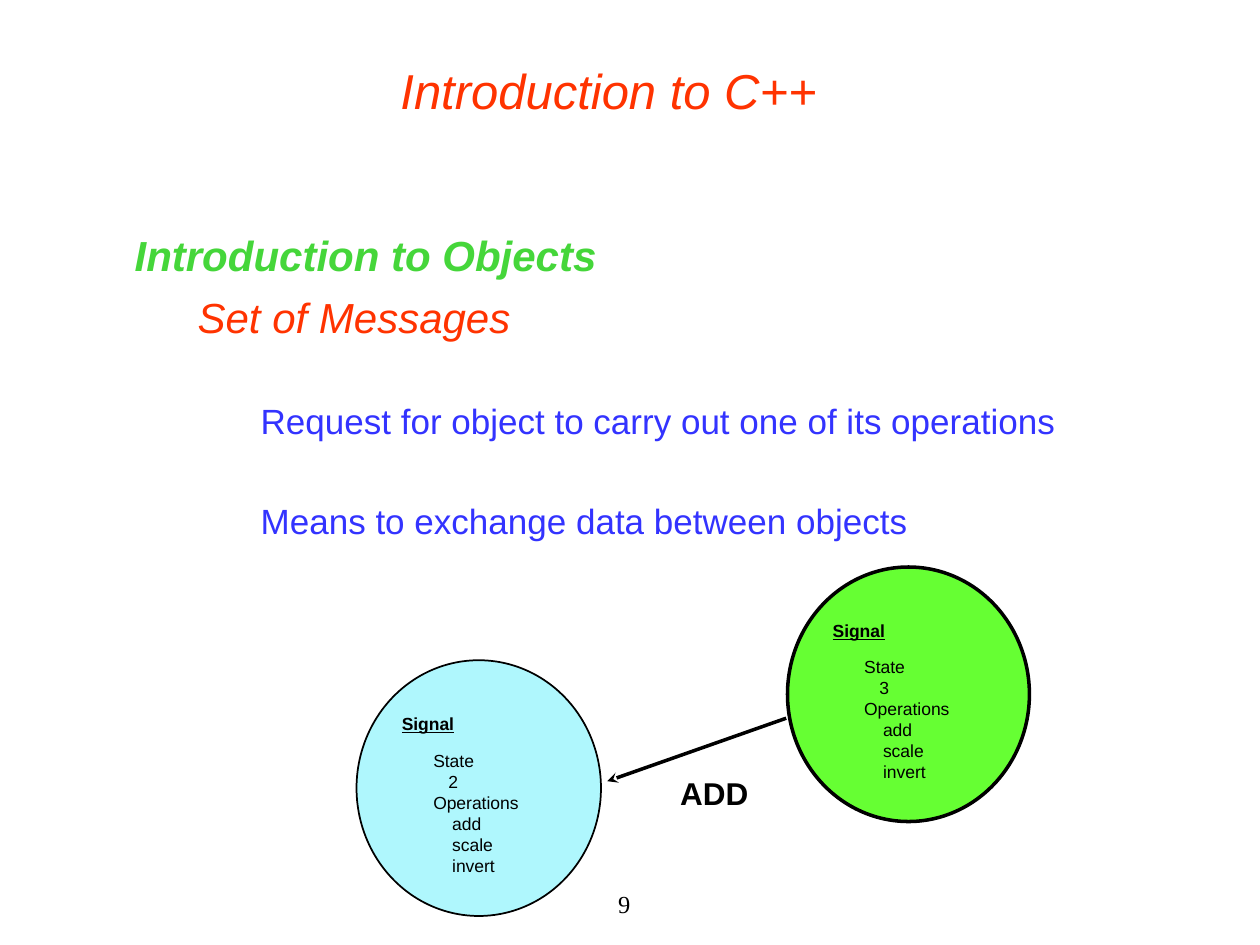
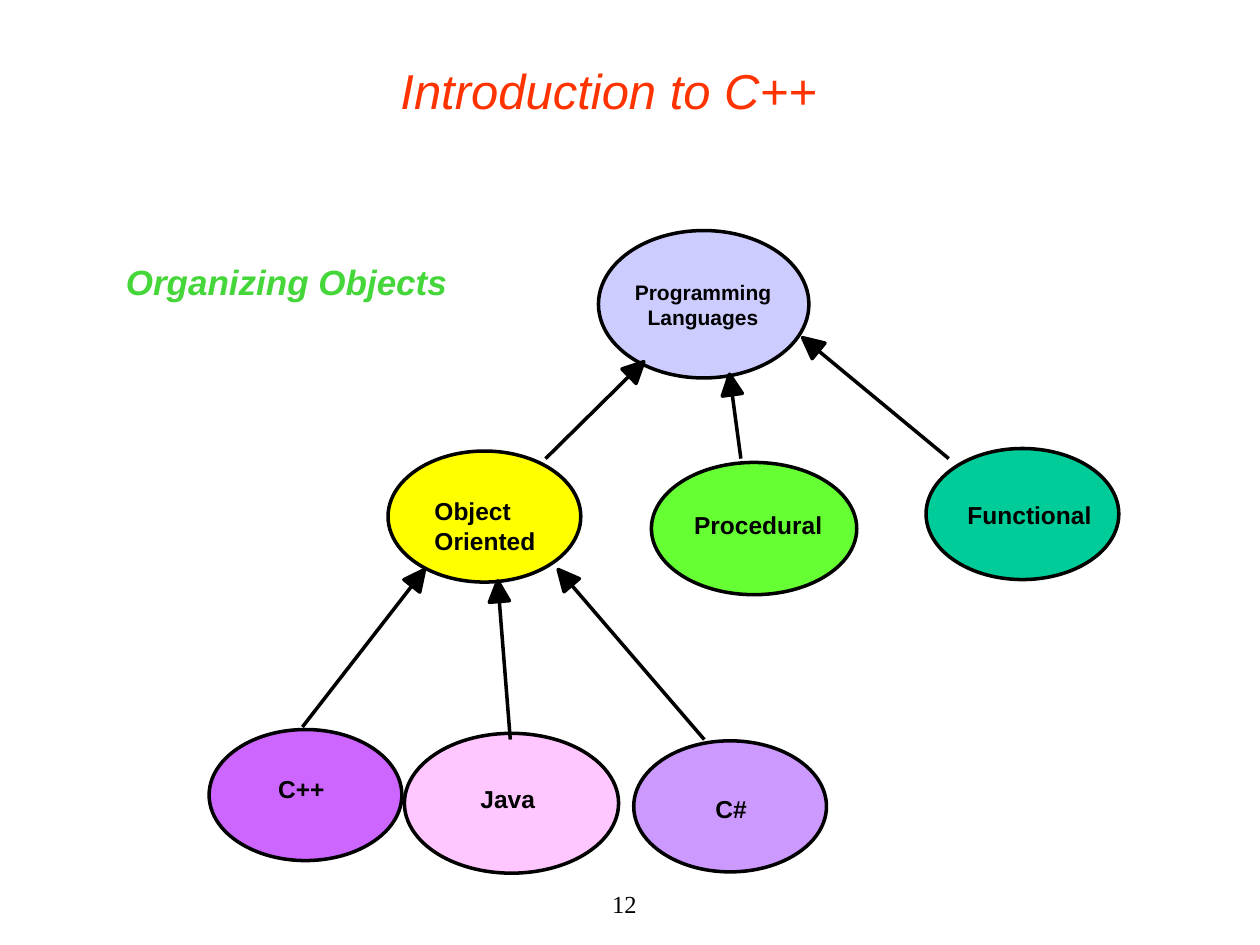
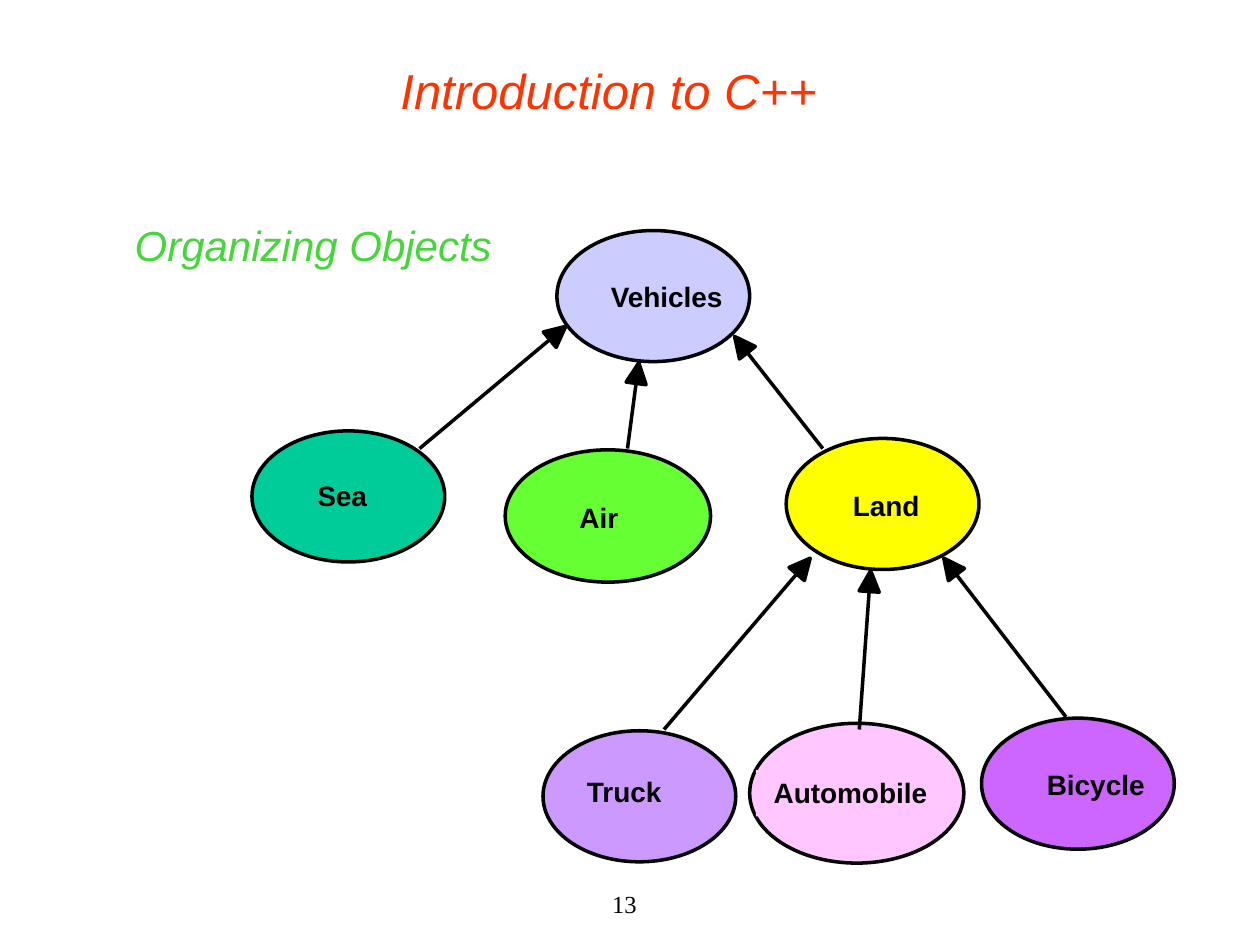
from math import hypot

from lxml.etree import SubElement
from pptx import Presentation
from pptx.dml.color import RGBColor
from pptx.enum.dml import MSO_LINE
from pptx.enum.shapes import MSO_CONNECTOR, MSO_SHAPE
from pptx.enum.text import MSO_ANCHOR, PP_ALIGN
from pptx.oxml.ns import qn
from pptx.util import Pt

SCALE = 9144
COLORS = {
    "black": "000000", "red": "FF3300", "green": "45D63A", "blue": "3333FF",
    "aqua": "AFF7FD", "lime": "66FF33", "lavender": "CCCCFF", "yellow": "FFFF00",
    "teal": "00CC99", "violet": "CC66FF", "pink": "FFC6FF", "lilac": "CC99FF",
}
HEAD_LENGTH, HEAD_HALF_WIDTH, HEAD_OVERLAP = 16.5, 8, 5


def emu(px):
    """Turn px into EMU."""
    return round(px * SCALE)


def rgb(name):
    """Look up a named colour."""
    return RGBColor.from_string(COLORS[name])


class Deck:
    """Holds the presentation, its style and the current slide."""

    def __init__(self):
        """Start an empty 1000 by 750 px presentation."""
        self.presentation = Presentation()
        self.presentation.slide_width = emu(1000)
        self.presentation.slide_height = emu(750)
        self.slide = None

    def add_slide(self, number):
        """Add a slide with the shared title and its page number."""
        self.slide = self.presentation.slides.add_slide(self.presentation.slide_layouts[6])
        self.text((58, 33, 850, 67), ["Introduction to C++"], size=28, color="red",
                  italic=True, align=PP_ALIGN.CENTER, anchor=MSO_ANCHOR.BOTTOM)
        self.text((458, 692, 75, 50), [str(number)], size=14, font="Times New Roman",
                  align=PP_ALIGN.CENTER, anchor=MSO_ANCHOR.MIDDLE)

    def text(self, box, lines, fill=None, anchor=MSO_ANCHOR.TOP, wrap=False, top=5, **style):
        """Add a text box; a line is a string or a pair of string and own style."""
        shape = self.slide.shapes.add_textbox(*map(emu, box))
        if fill:
            shape.fill.solid()
            shape.fill.fore_color.rgb = rgb(fill)
        frame = shape.text_frame
        frame.word_wrap = wrap
        frame.vertical_anchor = anchor
        frame.margin_left = frame.margin_right = emu(10)
        frame.margin_top, frame.margin_bottom = emu(top), emu(5)
        pairs = [(line, {}) if isinstance(line, str) else line for line in lines]
        frame.text = "\n".join(words for words, _ in pairs)
        for paragraph, (_, own) in zip(frame.paragraphs, pairs):
            self.format(paragraph, **{**style, **own})

    def format(self, paragraph, size, color="black", font="Arial", bold=False, italic=False,
               underline=False, align=PP_ALIGN.LEFT, indent=0, before=0, spacing=1.0):
        """Set the layout of a paragraph and the font of its runs."""
        paragraph.alignment = align
        paragraph.line_spacing = spacing
        paragraph.space_before = Pt(before)
        if indent:
            paragraph._p.get_or_add_pPr().set("marL", str(emu(indent)))
        for run in paragraph.runs:
            run.font.name, run.font.size = font, Pt(size)
            run.font.bold, run.font.italic, run.font.underline = bold, italic, underline
            run.font.color.rgb = rgb(color)

    def outline(self, shape, width=2):
        """Give a shape or connector a solid black line."""
        shape.line.color.rgb = rgb("black")
        shape.line.width = Pt(width)
        shape.line.dash_style = MSO_LINE.SOLID
        SubElement(shape._element.spPr.find(qn("a:ln")), qn("a:round"))

    def solid(self, shape, fill, width=2):
        """Fill and outline a shape without a shadow."""
        shape.shadow.inherit = False
        shape.fill.solid()
        shape.fill.fore_color.rgb = rgb(fill)
        self.outline(shape, width)

    def ellipse(self, box, fill, width=2):
        """Add an outlined ellipse."""
        self.solid(self.slide.shapes.add_shape(MSO_SHAPE.OVAL, *map(emu, box)), fill, width)

    def line(self, start, end, stealth=False):
        """Add a straight connector, with a stealth head if asked."""
        connector = self.slide.shapes.add_connector(
            MSO_CONNECTOR.STRAIGHT, *map(emu, (*start, *end)))
        self.outline(connector)
        properties = connector._element.spPr
        if stealth:
            SubElement(properties.find(qn("a:ln")), qn("a:tailEnd"), type="stealth")
        SubElement(properties, qn("a:effectLst"))

    def arrow(self, start, tip):
        """Add a line whose large triangular head points at the tip."""
        (x, y), length = tip, hypot(tip[0] - start[0], tip[1] - start[1])
        along_x, along_y = (x - start[0]) / length, (y - start[1]) / length
        reach = HEAD_LENGTH - HEAD_OVERLAP
        self.line(start, (x - reach * along_x, y - reach * along_y))
        base_x, base_y = x - HEAD_LENGTH * along_x, y - HEAD_LENGTH * along_y
        corners = [(emu(base_x + side * along_y), emu(base_y - side * along_x))
                   for side in (HEAD_HALF_WIDTH, -HEAD_HALF_WIDTH)]
        builder = self.slide.shapes.build_freeform(emu(x), emu(y), scale=1.0)
        builder.add_line_segments(corners, close=True)
        self.solid(builder.convert_to_shape(), "black")

    def tree(self, nodes, arrows, size):
        """Draw labelled ellipses and the arrows from child to parent."""
        for lines, fill, box, label, *own in nodes:
            self.ellipse(box, fill)
            style = {"size": size, "bold": True, **(own[0] if own else {})}
            self.text(label, lines, fill=fill, **style)
        for start, tip in arrows:
            self.arrow(start, tip)

    def signal(self, box, fill, state, width):
        """Draw a signal object with its state and operations."""
        left, top = box[:2]
        self.ellipse(box, fill, width)
        self.text((left + 26, top + 37, 62, 27), ["Signal"], fill=fill, size=10,
                  bold=True, underline=True)
        operations = [(name, {"indent": 15}) for name in ("add", "scale", "invert")]
        self.text((left + 51, top + 66, 88, 110),
                  ["State", (state, {"indent": 12}), "Operations", *operations],
                  fill=fill, size=10)


def messages_slide(deck):
    """Build the slide on messages between objects."""
    deck.add_slide(9)
    detail = {"size": 20, "color": "blue", "indent": 100, "before": 6.5, "spacing": 2.1}
    deck.text((97, 175, 845, 467), [
        ("Introduction to Objects", {"color": "green", "bold": True, "italic": True}),
        ("Set of Messages", {"color": "red", "italic": True, "indent": 50, "before": 7}),
        ("Request for object to carry out one of its operations", detail),
        ("Means to exchange data between objects", detail),
    ], wrap=True, top=7, size=24)
    deck.signal((283, 524, 194, 203), "aqua", "2", 1)
    deck.signal((625, 450, 192, 202), "lime", "3", 2)
    deck.line((624, 570), (482, 620), stealth=True)
    deck.text((530, 609, 74, 40), ["ADD"], size=18, bold=True)


def languages_slide(deck):
    """Build the tree of programming languages."""
    deck.add_slide(12)
    center = {"align": PP_ALIGN.CENTER}
    deck.tree([
        (["Programming", "Languages"], "lavender", (475, 183, 167, 117),
         (492, 217, 132, 50), {"size": 12, **center}),
        (["Object", "Oriented"], "yellow", (308, 358, 153, 104), (335, 389, 100, 57)),
        (["Procedural"], "lime", (517, 367, 163, 105), (541, 400, 122, 33)),
        (["Functional"], "teal", (735, 356, 153, 104), (758, 392, 119, 33)),
        (["C++"], "violet", (166, 579, 153, 104), (211, 609, 63, 57)),
        (["Java"], "pink", (321, 582, 170, 111), (342, 617, 122, 33), center),
        (["C#"], "lilac", (503, 588, 153, 104), (558, 625, 45, 33)),
    ], [
        ((433, 364), (511, 287)), ((240, 577), (337, 452)), ((405, 587), (395, 461)),
        ((559, 587), (443, 452)), ((588, 364), (579, 297)), ((753, 364), (637, 268)),
    ], size=14)
    deck.text((90, 202, 275, 43), ["Organizing Objects"], size=20, color="green",
              bold=True, italic=True)


def vehicles_slide(deck):
    """Build the tree of vehicles."""
    deck.add_slide(13)
    deck.text((97, 167, 845, 475), ["Organizing Objects"], wrap=True, top=7, size=24,
              color="green", italic=True)
    deck.tree([
        (["Land"], "yellow", (624, 348, 153, 104), (667, 383, 73, 37)),
        (["Vehicles"], "lavender", (442, 183, 153, 104), (475, 217, 110, 37)),
        (["Air"], "lime", (401, 357, 163, 105), (450, 392, 51, 37)),
        (["Sea"], "teal", (200, 342, 153, 104), (242, 375, 60, 37)),
        (["Bicycle"], "violet", (779, 570, 153, 104), (821, 604, 98, 37)),
        (["Automobile"], "pink", (595, 574, 170, 111), (600, 611, 150, 37),
         {"align": PP_ALIGN.CENTER}),
        (["Truck"], "lilac", (431, 580, 153, 104), (456, 610, 81, 37)),
    ], [
        ((653, 356), (583, 267)), ((846, 569), (749, 443)), ((682, 579), (691, 453)),
        ((527, 579), (643, 443)), ((498, 356), (507, 288)), ((333, 356), (449, 259)),
    ], size=16)


def main():
    """Build the three slides and save them."""
    deck = Deck()
    messages_slide(deck)
    languages_slide(deck)
    vehicles_slide(deck)
    deck.presentation.save("out.pptx")


if __name__ == "__main__":
    main()
